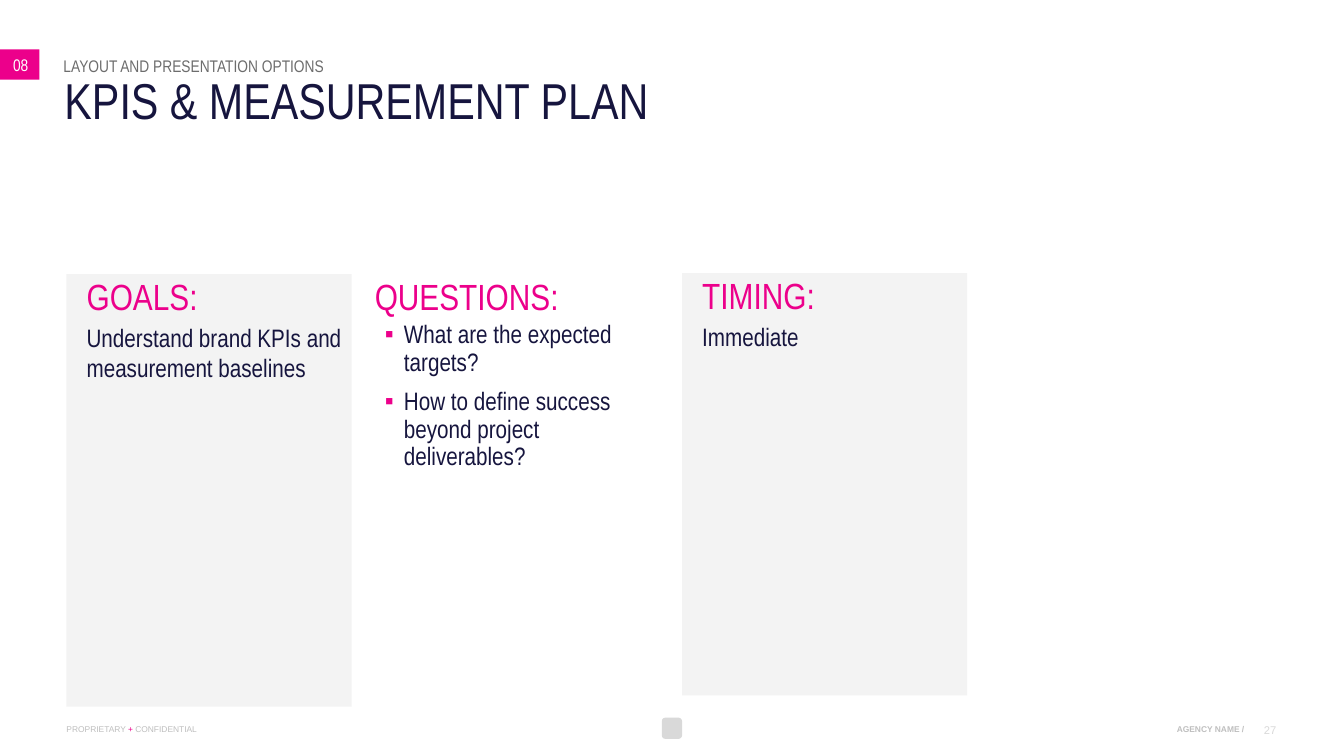
import pptx
import pptx.util
import pptx.dml.color
import pptx.enum.shapes
import pptx.enum.text
import pptx.oxml
import pptx.oxml.ns

Inches = pptx.util.Inches
Pt = pptx.util.Pt
Shape = pptx.enum.shapes.MSO_SHAPE
Align = pptx.enum.text.PP_ALIGN
Anchor = pptx.enum.text.MSO_ANCHOR

HUES = {"navy": "16153E", "pink": "EC008B", "panel": "F3F3F3", "label": "6D6D6D",
        "foot": "BFBFBF", "mark": "D9D9D9", "white": "FFFFFF"}
NARROW = "Arial Narrow"
HEAD = {"size": 26, "hue": "pink"}
BODY = {"size": 18, "hue": "navy"}
NOTE = {"size": 6, "hue": "foot", "name": "Arial"}


def color(hue):
    return pptx.dml.color.RGBColor.from_string(HUES[hue])


def style(font, size, hue, name=NARROW, bold=False):
    for key, value in {"size": Pt(size), "name": name, "bold": bold}.items():
        setattr(font, key, value)
    font.color.rgb = color(hue)


def set_frame(shape, insets=(0, 0, 0, 0), anchor=Anchor.TOP, wrap=True):
    frame = shape.text_frame
    sides = ("margin_left", "margin_top", "margin_right", "margin_bottom")
    values = dict(zip(sides, map(Inches, insets)))
    values.update(auto_size=pptx.enum.text.MSO_AUTO_SIZE.NONE,
                  word_wrap=wrap, vertical_anchor=anchor)
    for key, value in values.items():
        setattr(frame, key, value)
    return frame


def add_text(slide, box, **options):
    return set_frame(slide.shapes.add_textbox(*map(Inches, box)), **options)


def add_block(slide, box, hue, kind=Shape.RECTANGLE):
    block = slide.shapes.add_shape(kind, *map(Inches, box))
    block.shadow.inherit = False
    block.fill.solid()
    block.fill.fore_color.rgb = color(hue)
    block.line.fill.background()
    return block


def write(para, text, look, align=Align.LEFT, **spacing):
    run = para.add_run()
    run.text = text
    style(run.font, **look)
    for key, value in {"alignment": align, **spacing}.items():
        setattr(para, key, value)


def add_bullet(para):
    props = para._p.get_or_add_pPr()
    props.set("marL", str(Inches(0.29)))
    props.set("indent", str(Inches(-0.19)))
    space = pptx.oxml.ns.nsdecls("a")
    for xml in (f'<a:buClr {space}><a:srgbClr val="{HUES["pink"]}"/></a:buClr>',
                f'<a:buFont {space} typeface="Arial"/>',
                f'<a:buChar {space} char="▪"/>'):
        props.append(pptx.oxml.parse_xml(xml))


def add_header(slide, box):
    left, top, width, _ = box
    tab = add_block(slide, (0, top, 0.39, 0.3), "pink")
    frame = set_frame(tab, (0.02, 0.05, 0, 0.05), Anchor.MIDDLE)
    write(frame.paragraphs[0], "08", {"size": 12, "hue": "white"}, Align.CENTER)

    frame = add_text(slide, (left, top + 0.06, 8.69, 0.2))
    write(frame.paragraphs[0], "LAYOUT AND PRESENTATION OPTIONS",
          {"size": 12, "hue": "label"})

    title = slide.shapes.title
    places = (left + 0.01, top + 0.31, width, 0.5)
    for key, value in zip(("left", "top", "width", "height"), places):
        setattr(title, key, Inches(value))
    write(set_frame(title).paragraphs[0], "KPIS & MEASUREMENT PLAN",
          {"size": 36, "hue": "navy"}, line_spacing=0.8)


def add_column(slide, box, head, lines, panel):
    """Place a heading over plain text on a panel, or over bullets without one."""
    if panel:
        frame = set_frame(add_block(slide, box, "panel"), (0.2, 0, 0, 0))
    else:
        frame = add_text(slide, box)
    write(frame.paragraphs[0], head, HEAD, space_after=Pt(3))
    for line in lines:
        para = frame.add_paragraph()
        if panel:
            write(para, line, BODY, space_after=Pt(3))
        else:
            add_bullet(para)
            write(para, line, BODY, line_spacing=0.9, space_after=Pt(9))


def add_footer(slide, box):
    left, top, width, height = box
    frame = add_text(slide, (left, top, 1.32, height), wrap=False)
    for text, hue in (("PROPRIETARY ", "foot"), ("+", "pink"), (" CONFIDENTIAL", "foot")):
        write(frame.paragraphs[0], text, {**NOTE, "hue": hue})

    add_block(slide, (6.57, top - 0.06, 0.2, 0.21), "mark", Shape.ROUNDED_RECTANGLE)

    right = left + width
    frame = add_text(slide, (right - 1.84, top, 1.52, height))
    write(frame.paragraphs[0], "AGENCY NAME /", {**NOTE, "bold": True}, Align.RIGHT)
    frame = add_text(slide, (right - 0.3, top - 0.01, 0.3, 0.14), anchor=Anchor.MIDDLE)
    write(frame.paragraphs[0], "27", {**NOTE, "size": 8, "hue": "mark"}, Align.RIGHT)


def main():
    deck = pptx.Presentation()
    deck.slide_width, deck.slide_height = Inches(13.34), Inches(7.5)
    slide = deck.slides.add_slide(deck.slide_layouts[5])
    add_header(slide, (0.63, 0.49, 12, 0.81))
    columns = (
        (0.66, 2.72, 4.29, "GOALS:", ["Understand brand KPIs and measurement baselines"], True),
        (3.72, 2.72, 1.97, "QUESTIONS:", ["What are the expected targets?",
         "How to define success beyond project deliverables?"], False),
        (6.77, 2.71, 4.19, "TIMING:", ["Immediate"], True),
    )
    for left, top, height, head, lines, panel in columns:
        add_column(slide, (left, top, 2.83, height), head, lines, panel)
    add_footer(slide, (0.66, 7.18, 12.01, 0.1))
    deck.save("out.pptx")


if __name__ == "__main__":
    main()
